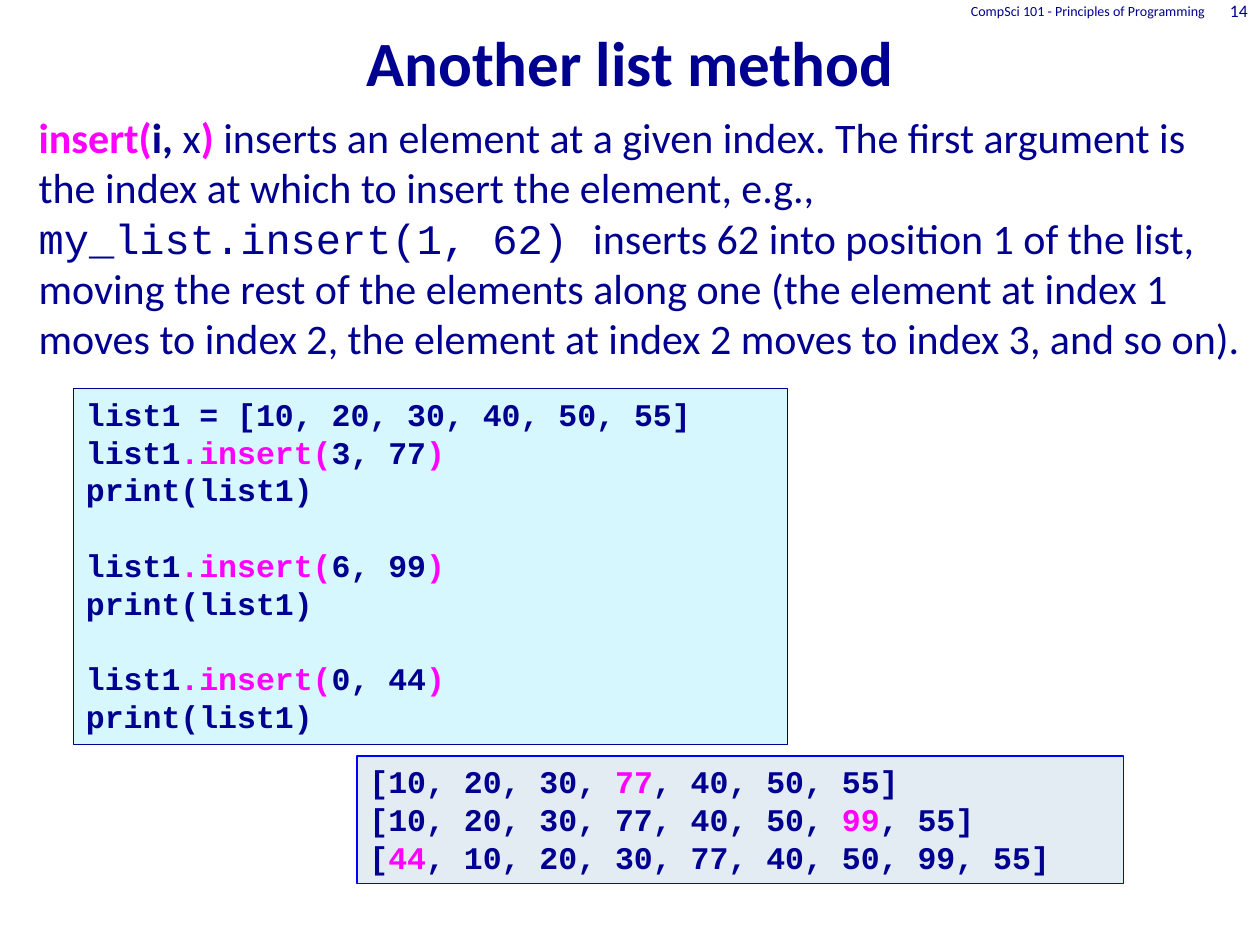
"""Build a slide that explains the insert method of a list."""
import pptx
import pptx.dml.color
import pptx.enum.shapes
import pptx.enum.text
import pptx.util

Pt = pptx.util.Pt
Align = pptx.enum.text.PP_ALIGN
Anchor = pptx.enum.text.MSO_ANCHOR
NAVY, PINK = "000090", "FF00FF"
SANS, MONO = "Calibri", "Courier New"


def color(value):
    return pptx.dml.color.RGBColor.from_string(value)


class SlideBuilder:
    def __init__(self, slide):
        self.slide = slide

    def add_run(self, paragraph, text, size, fill=NAVY, bold=False, face=SANS):
        run = paragraph.add_run()
        run.text = text
        run.font.name = face
        run.font.size = Pt(size)
        run.font.bold = bold
        run.font.color.rgb = color(fill)

    def add_text(self, box, runs, size, align=Align.LEFT, anchor=Anchor.TOP):
        shape = self.slide.shapes.add_textbox(*map(Pt, box))
        frame = shape.text_frame
        frame.word_wrap = True
        frame.vertical_anchor = anchor
        paragraph = frame.paragraphs[0]
        paragraph.alignment = align
        paragraph.line_spacing = Pt(size * 1.2)
        for text, *style in runs:
            self.add_run(paragraph, text, size, *style)

    def add_code(self, box, fill, line, blocks, size=18):
        rectangle = pptx.enum.shapes.MSO_SHAPE.RECTANGLE
        shape = self.slide.shapes.add_shape(rectangle, *map(Pt, box))
        shape.shadow.inherit = False
        shape.fill.solid()
        shape.fill.fore_color.rgb = color(fill)
        shape.line.color.rgb = color(line)
        shape.line.width = Pt(0.75)
        frame = shape.text_frame
        frame.word_wrap = True
        frame.vertical_anchor = Anchor.TOP
        pitch = Pt(size * 1.2)
        paragraph = None
        for block in blocks:
            for index, runs in enumerate(block):
                first = paragraph is None
                paragraph = frame.paragraphs[0] if first else frame.add_paragraph()
                paragraph.alignment = Align.LEFT
                paragraph.line_spacing = pitch
                if index == 0 and not first:
                    paragraph.space_before = pitch
                for text, fill_color in runs:
                    self.add_run(paragraph, text, size, fill_color, True, MONO)


def insert_call(arguments):
    return [
        [("list1", NAVY), (".insert(", PINK), (arguments, NAVY), (")", PINK)],
        [("print(list1)", NAVY)],
    ]


def output_line(before, inserted, after):
    return [(before, NAVY), (inserted, PINK), (after, NAVY)]


def main():
    presentation = pptx.Presentation()
    presentation.slide_width, presentation.slide_height = Pt(720), Pt(540)
    slide = presentation.slides.add_slide(presentation.slide_layouts[6])
    builder = SlideBuilder(slide)

    builder.add_text((0, 0, 720, 60), [("Another list method", NAVY, True)],
                     36, Align.CENTER, Anchor.BOTTOM)
    builder.add_text((15, 60, 702, 420), [
        ("insert(", PINK, True),
        ("i,", NAVY, True),
        (" x",),
        (") ", PINK, True),
        ("inserts an element at a given index. The first argument is the index "
         "at which to insert the element, e.g., ",),
        ("my_list.insert(1, 62) ", NAVY, False, MONO),
        ("inserts 62 into position 1 of the list, moving the rest of the elements "
         "along one (the element at index 1 moves to index 2, the element at "
         "index 2 moves to index 3, and so on).",),
    ], 24)

    start = [[("list1 = [10, 20, 30, 40, 50, 55]", NAVY)]]
    builder.add_code((42, 222, 408, 203.5), "D7F7FF", NAVY, [
        start + insert_call("3, 77"),
        insert_call("6, 99"),
        insert_call("0, 44"),
    ])
    builder.add_code((204, 432, 438, 72.7), "E3EBF3", "0000FF", [[
        output_line("[10, 20, 30, ", "77", ", 40, 50, 55]"),
        output_line("[10, 20, 30, 77, 40, 50, ", "99", ", 55]"),
        output_line("[", "44", ", 10, 20, 30, 77, 40, 50, 99, 55]"),
    ]])

    builder.add_text((480, 0, 216, 12), [("CompSci 101 - Principles of Programming",)],
                     8, Align.RIGHT, Anchor.MIDDLE)
    builder.add_text((678, 0, 42, 12), [("14",)], 10, Align.RIGHT, Anchor.MIDDLE)
    presentation.save("out.pptx")


if __name__ == "__main__":
    main()
